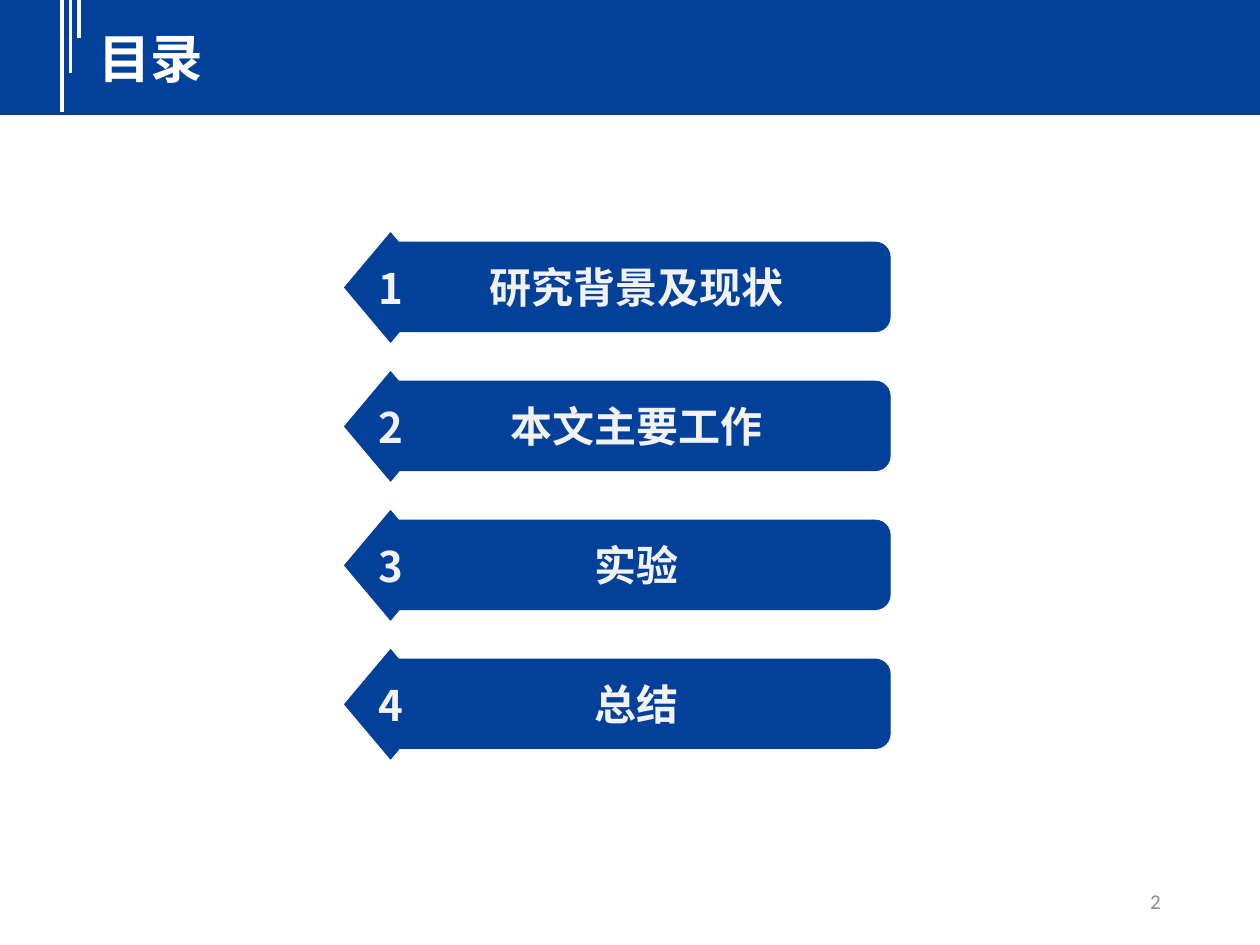
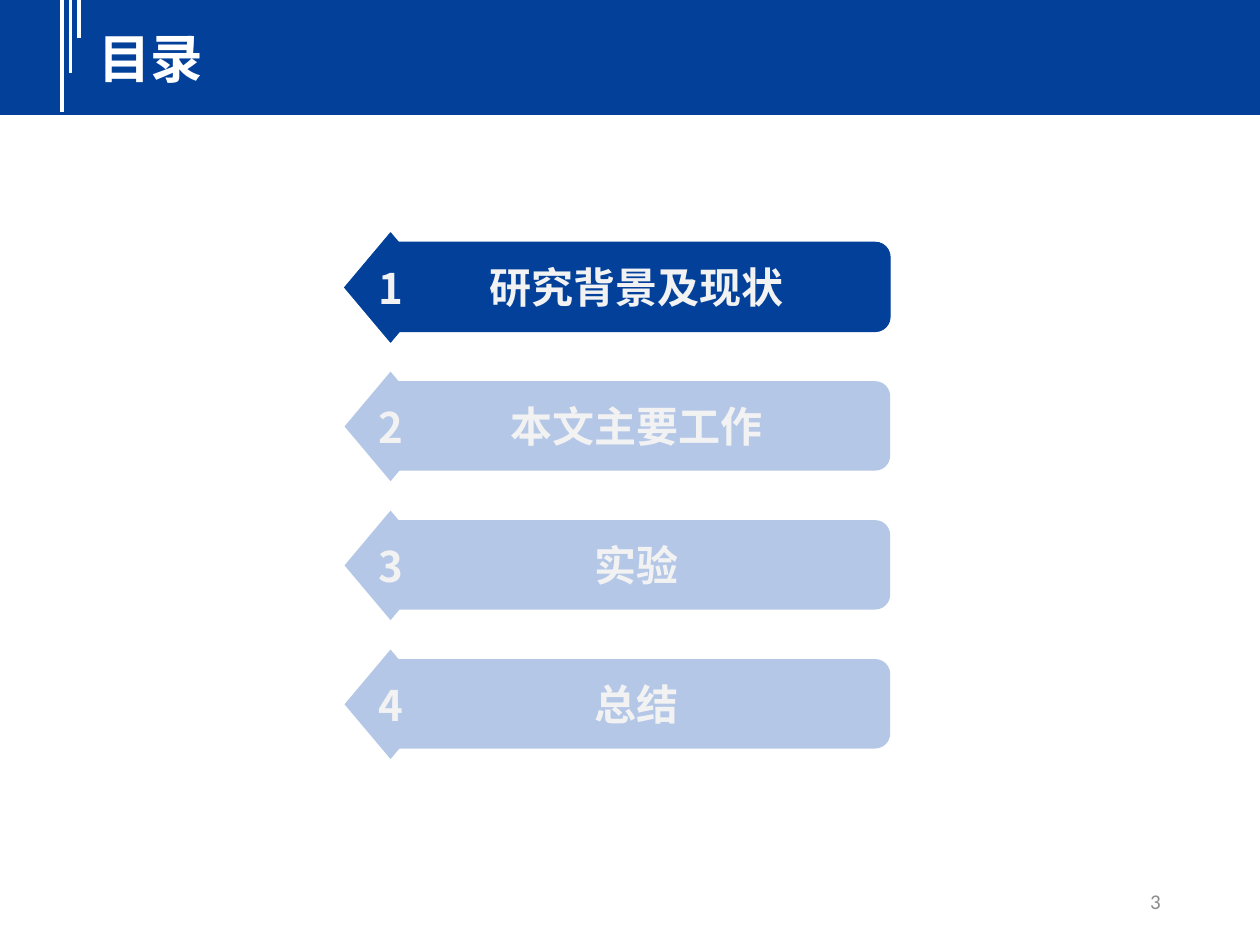
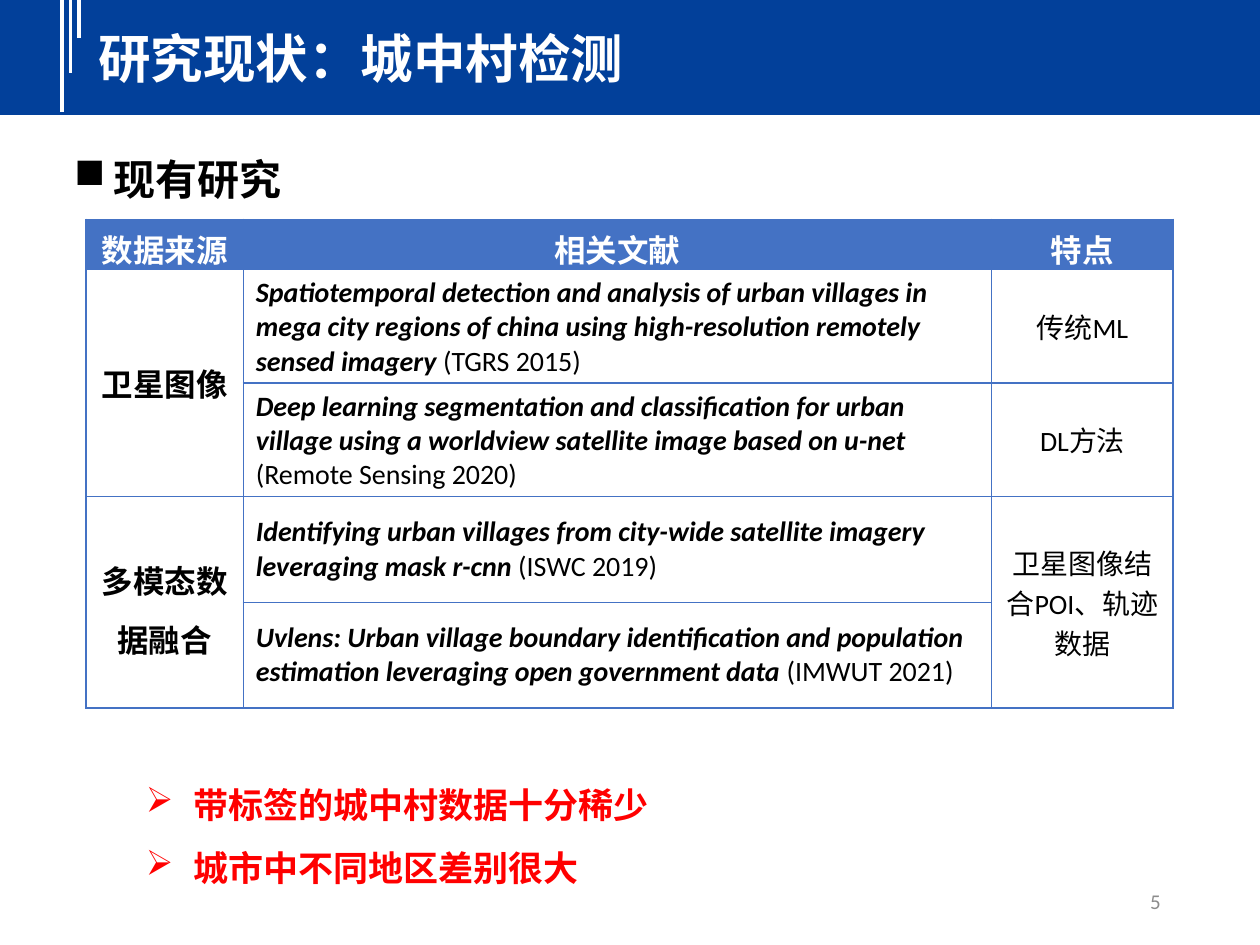
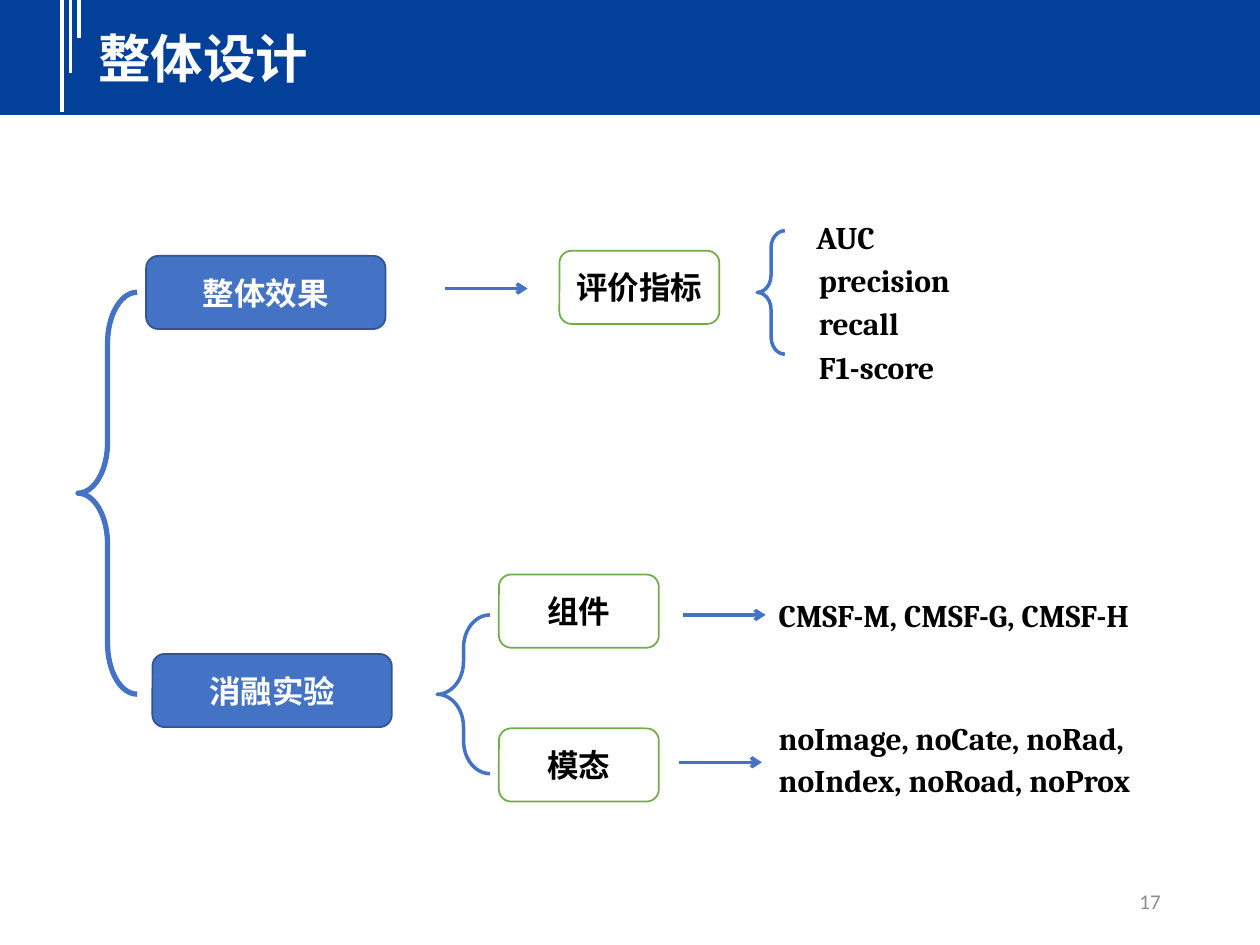
from lxml import etree
from pptx import Presentation
from pptx.dml.color import RGBColor
from pptx.enum import shapes, text
from pptx.oxml.ns import qn
from pptx.util import Pt

BLUE, PALE, ACCENT, DARK, GREEN = "02409A", "B4C7E7", "4472C4", "325491", "70AD47"
WHITE, OFF_WHITE, BLACK, RED, GRAY = "FFFFFF", "F2F2F2", "000000", "FF0000", "8C8C8C"
CJK, SANS, SERIF = "Noto Sans CJK SC", "Calibri", "Cambria"
CENTER, RIGHT = text.PP_ALIGN.CENTER, text.PP_ALIGN.RIGHT
MIDDLE = text.MSO_ANCHOR.MIDDLE
RECT, ROUND, DIAMOND, BRACE = (
    shapes.MSO_SHAPE.RECTANGLE, shapes.MSO_SHAPE.ROUNDED_RECTANGLE,
    shapes.MSO_SHAPE.DIAMOND, shapes.MSO_SHAPE.LEFT_BRACE)

CHAPTERS = ["研究背景及现状", "本文主要工作", "实验", "总结"]

COLUMNS = [90, 427.7, 103.7]
ROWS = [28.8, 61.2, 39.6, 60.5, 60.5]
HEADINGS = ["数据来源", "相关文献", "特点"]
SOURCES = {1: "卫星图像", 3: "多模态数据融合"}
PAPERS = [
    ("Spatiotemporal detection and analysis of urban villages in mega city regions "
     "of china using high-resolution remotely sensed imagery ", "(TGRS 2015)"),
    ("Deep learning segmentation and classification for urban village using a "
     "worldview satellite image based on u-net ", "(Remote Sensing 2020)"),
    ("Identifying urban villages from city-wide satellite imagery leveraging "
     "mask r-cnn ", "(ISWC 2019)"),
    ("Uvlens: Urban village boundary identification and population estimation "
     "leveraging open government data ", "(IMWUT 2021)"),
]
FEATURES = {1: "传统ML", 2: "DL方法", 3: "卫星图像结合POI、轨迹数据"}
MERGES = [(1, 0), (3, 0), (3, 2)]
FINDINGS = ["带标签的城中村数据十分稀少", "城市中不同地区差别很大"]

# left, top, width, height, adjustment, line width
BRACES = [(44.6, 167, 33.8, 229.7, 0.86, 3),
          (432.7, 131.8, 15.8, 70.6, 0.62, 2),
          (249.8, 351.4, 30.2, 90.7, 0.62, 2)]
BRANCHES = [("整体效果", 83.5, 146.2), ("消融实验", 87.1, 373.7)]
ASPECTS = [("评价指标", 319.7, 143.3), ("组件", 285.1, 328.3), ("模态", 285.1, 416.2)]
ARROWS = [(254.2, 164.9), (390.2, 351.4), (388.1, 435.6)]
ARROW_LENGTH = 47.3
METRICS = [("AUC", 423.4), ("precision", 424.8), ("recall", 424.8), ("F1-score", 424.8)]
VARIANTS = [(["CMSF-M, CMSF-G, CMSF-H"], 334.8, 33.8),
            (["noImage, noCate, noRad,", "noIndex, noRoad, noProx"], 405.4, 52.6)]


def rgb(value):
    return RGBColor.from_string(value)


def format_run(r, size, color, font=SANS, bold=True, italic=False):
    r.font.size, r.font.bold, r.font.italic = Pt(size), bold, italic
    r.font.color.rgb = rgb(color)
    r.font.name = font
    etree.SubElement(r._r.get_or_add_rPr(), qn("a:ea"), typeface=CJK)


def write(tf, lines, size, color, font=SANS, bold=True, align=None, spacing=None,
          bullet=None, margin=0, hanging=0):
    """Fill a text frame with one paragraph per line."""
    tf.text = "\n".join(lines)
    for p in tf.paragraphs:
        pPr = p._p.get_or_add_pPr()
        if margin:
            pPr.set("marL", str(Pt(margin)))
            pPr.set("indent", str(Pt(-hanging)))
        if bullet:
            etree.SubElement(pPr, qn("a:buChar"), char=bullet)
        if align is not None:
            p.alignment = align
        if spacing:
            p.line_spacing = spacing
        for r in p.runs:
            format_run(r, size, color, font, bold)


def add_text(slide, box, lines, size, color, anchor=None, grow=True, **style):
    tf = slide.shapes.add_textbox(*map(Pt, box)).text_frame
    tf.word_wrap = True
    if grow:
        tf.auto_size = text.MSO_AUTO_SIZE.SHAPE_TO_FIT_TEXT
    if anchor is not None:
        tf.vertical_anchor = anchor
    write(tf, lines, size, color, **style)


def add_shape(parent, kind, box, fill=None, line=None, width=1):
    sp = parent.shapes.add_shape(kind, *map(Pt, box))
    sp.shadow.inherit = False
    if fill:
        sp.fill.solid()
        sp.fill.fore_color.rgb = rgb(fill)
    else:
        sp.fill.background()
    if line:
        sp.line.color.rgb = rgb(line)
        sp.line.width = Pt(width)
    else:
        sp.line.fill.background()
    return sp


def add_line(slide, ends, color, width, arrow=False):
    line = slide.shapes.add_connector(shapes.MSO_CONNECTOR.STRAIGHT, *map(Pt, ends))
    line.line.color.rgb = rgb(color)
    line.line.width = Pt(width)
    if arrow:
        etree.SubElement(line.line._get_or_add_ln(), qn("a:tailEnd"), type="arrow")
    etree.SubElement(line._element.spPr, qn("a:effectLst"))


def add_slide(prs, title, number):
    """Add a slide with the title band and page number."""
    slide = prs.slides.add_slide(prs.slide_layouts[6])
    add_shape(slide, RECT, (0, -2, 720, 67.7), BLUE)
    for x, bottom in [(35.3, 64), (40.3, 41.5), (45.3, 21.5)]:
        add_line(slide, (x, -2, x, bottom), WHITE, 2.25)
    add_text(slide, (49, 11.5, 656.6, 43.2), [title], 30, WHITE, font=CJK)
    add_text(slide, (508.3, 500.4, 162, 28.8), [str(number)], 12, GRAY,
             anchor=MIDDLE, grow=False, bold=False, align=RIGHT)
    return slide


def add_agenda(prs, number, active):
    slide = add_slide(prs, "目录", number)
    for i, chapter in enumerate(CHAPTERS):
        top = 133 + 79.4 * i
        fill = BLUE if i in active else PALE
        line = BLUE if i in active else None
        group = slide.shapes.add_group_shape()
        for kind, box, label, font in [
                (ROUND, (218.9, top + 5.4, 289.8, 51.1), chapter, SANS),
                (DIAMOND, (196.9, top, 52.6, 62.6), str(i + 1), CJK)]:
            sp = add_shape(group, kind, box, fill, line, 0.5)
            write(sp.text_frame, [label], 24, OFF_WHITE, font=font, align=CENTER)
            sp.text_frame.word_wrap = False


def set_borders(cell, color):
    tcPr = cell._tc.get_or_add_tcPr()
    for i, side in enumerate(("lnL", "lnR", "lnT", "lnB")):
        ln = etree.Element(qn(f"a:{side}"), w=str(Pt(1)))
        fill = etree.SubElement(ln, qn("a:solidFill"))
        etree.SubElement(fill, qn("a:srgbClr"), val=color)
        tcPr.insert(i, ln)


def add_papers_table(slide):
    table = slide.shapes.add_table(len(ROWS), len(COLUMNS), Pt(49), Pt(125.3),
                                   Pt(sum(COLUMNS)), Pt(sum(ROWS))).table
    for column, width in zip(table.columns, COLUMNS):
        column.width = Pt(width)
    for i, (row, height) in enumerate(zip(table.rows, ROWS)):
        row.height = Pt(height)
        for cell in row.cells:
            cell.fill.solid()
            cell.fill.fore_color.rgb = rgb(WHITE if i else ACCENT)
            set_borders(cell, ACCENT)
            if i:
                cell.vertical_anchor = MIDDLE
            else:
                cell.margin_bottom = 0
    for row, column in MERGES:
        table.cell(row, column).merge(table.cell(row + 1, column))

    for column, heading in enumerate(HEADINGS):
        write(table.cell(0, column).text_frame, [heading], 18, WHITE, align=CENTER)
    for row, source in SOURCES.items():
        write(table.cell(row, 0).text_frame, [source], 18, BLACK, align=CENTER,
              spacing=1.3 if row == 3 else None)
    for row, (title, venue) in enumerate(PAPERS, 1):
        p = table.cell(row, 1).text_frame.paragraphs[0]
        for words, strong in ((title, True), (venue, False)):
            r = p.add_run()
            r.text = words
            format_run(r, 16, BLACK, bold=strong, italic=strong)
    for row, feature in FEATURES.items():
        write(table.cell(row, 2).text_frame, [feature], 16, BLACK, bold=False, align=CENTER)


def add_related_work(prs):
    slide = add_slide(prs, "研究现状：城中村检测", 5)
    add_papers_table(slide)
    add_text(slide, (35.3, 69.8, 473, 51.1), ["现有研究"], 24, BLACK,
             spacing=1.5, bullet="■", margin=22.5, hanging=22.5)
    add_text(slide, (40.3, 432, 377.3, 75.6), FINDINGS, 20, RED, font=SERIF,
             spacing=1.5, bullet="➢", margin=63, hanging=27)


def add_design(prs):
    slide = add_slide(prs, "整体设计", 17)
    for *box, bend, width in BRACES:
        brace = add_shape(slide, BRACE, box, None, ACCENT, width)
        brace.adjustments[0] = bend
    for nodes, width, fill, line, color in [
            (BRANCHES, 136.8, ACCENT, DARK, WHITE), (ASPECTS, 91.4, WHITE, GREEN, BLACK)]:
        for label, x, y in nodes:
            sp = add_shape(slide, ROUND, (x, y, width, 41.8), fill, line)
            write(sp.text_frame, [label], 18, color, align=CENTER)
    for x, y in ARROWS:
        add_line(slide, (x, y, x + ARROW_LENGTH, y), ACCENT, 2, arrow=True)
    for i, (metric, x) in enumerate(METRICS):
        add_text(slide, (x, 110.2 + 24.7 * i, 136.8, 36), [metric], 18, BLACK,
                 font=SERIF, spacing=1.5, margin=36)
    for lines, y, height in VARIANTS:
        add_text(slide, (437.8, y, 307.4, height), lines, 18, BLACK,
                 grow=False, font=SERIF, spacing=1.1)


def main():
    prs = Presentation()
    prs.slide_width, prs.slide_height = Pt(720), Pt(540)
    add_agenda(prs, 2, active=range(len(CHAPTERS)))
    add_agenda(prs, 3, active=[0])
    add_related_work(prs)
    add_design(prs)
    prs.save("out.pptx")


if __name__ == "__main__":
    main()
